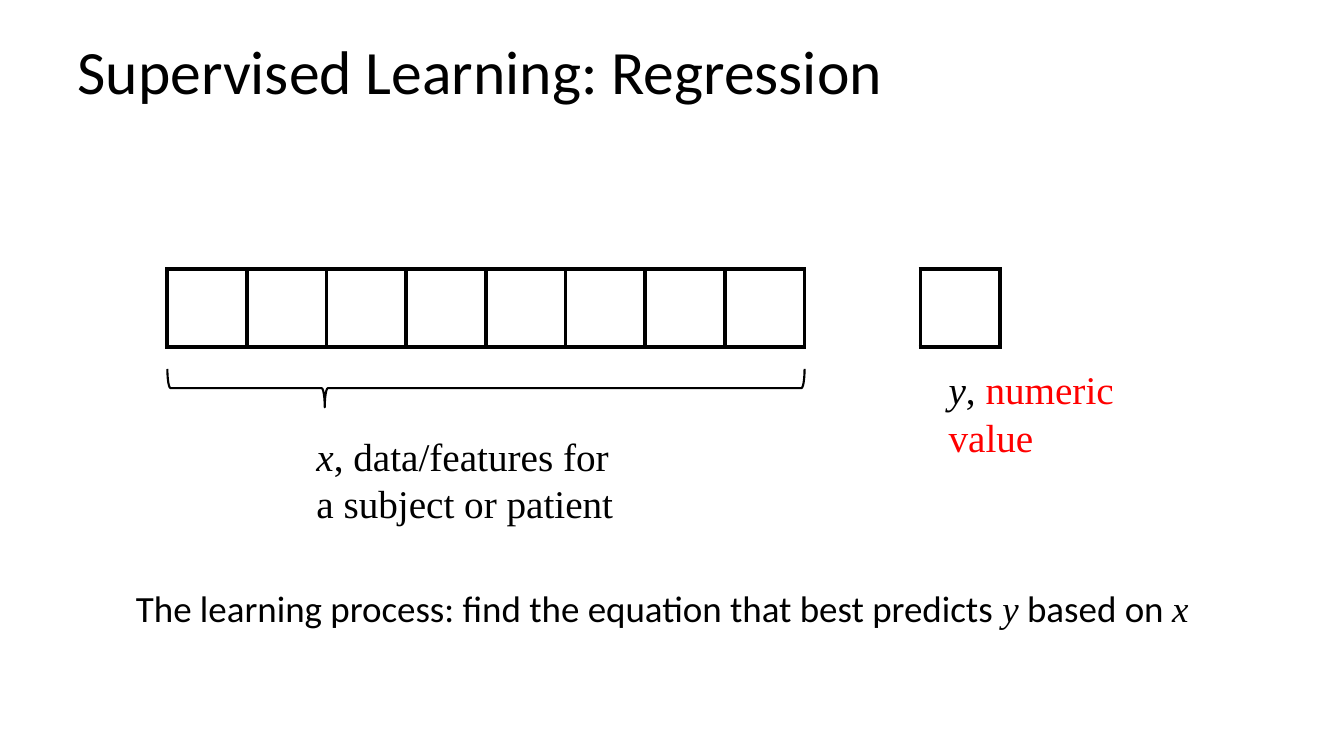
from dataclasses import dataclass

from lxml.etree import SubElement
from pptx import Presentation
from pptx.dml.color import RGBColor
from pptx.enum.shapes import MSO_SHAPE
from pptx.oxml.ns import qn
from pptx.util import Inches, Pt


@dataclass(frozen=True)
class Theme:
    ink: str = "000000"
    accent: str = "FF0000"
    sans: str = "Calibri"
    serif: str = "Times New Roman"
    title_size: float = 44
    label_size: float = 28
    summary_size: float = 26.4
    brace_width: float = 1.5
    border_width: float = 3


class SlideBuilder:
    def __init__(self, slide, theme):
        self.slide = slide
        self.theme = theme

    def text(self, box, paragraphs, size, font, wrap=True, line_spacing=None):
        """Each paragraph is a list of (text, overrides) pairs; overrides may set font, color, italic."""
        frame = self.slide.shapes.add_textbox(*map(Inches, box)).text_frame
        frame.word_wrap = wrap
        for index, pieces in enumerate(paragraphs):
            paragraph = frame.add_paragraph() if index else frame.paragraphs[0]
            paragraph.line_spacing = line_spacing
            for words, style in pieces:
                run = paragraph.add_run()
                run.text = words
                run.font.size = Pt(size)
                run.font.name = style.get("font", font)
                run.font.italic = style.get("italic", False)
                run.font.color.rgb = RGBColor.from_string(style.get("color", self.theme.ink))

    def cells(self, left, top, count, width, height):
        """Draw a one-row table of empty bordered cells."""
        table = self.slide.shapes.add_table(
            1, count, Inches(left), Inches(top), Inches(width * count), Inches(height)).table
        table.first_row = table.horz_banding = False
        for column in table.columns:
            column.width = Inches(width)
        for cell in table.iter_cells():
            self.border(cell)
            cell.fill.background()

    def border(self, cell):
        properties = cell._tc.get_or_add_tcPr()
        for side in ("a:lnL", "a:lnR", "a:lnT", "a:lnB"):
            line = SubElement(properties, qn(side), w=str(Pt(self.theme.border_width)))
            fill = SubElement(line, qn("a:solidFill"))
            SubElement(fill, qn("a:srgbClr"), val=self.theme.ink)

    def brace_below(self, left, top, width, depth):
        """Turn a left brace so that it spans the given width with its point downwards."""
        brace = self.slide.shapes.add_shape(
            MSO_SHAPE.LEFT_BRACE,
            Inches(left + (width - depth) / 2), Inches(top + (depth - width) / 2),
            Inches(depth), Inches(width))
        brace.rotation = 270
        brace.adjustments[0] = 0.083
        brace.adjustments[1] = 0.247
        brace.shadow.inherit = False
        brace.fill.background()
        brace.line.color.rgb = RGBColor.from_string(self.theme.ink)
        brace.line.width = Pt(self.theme.brace_width)


def main():
    presentation = Presentation()
    presentation.slide_width = Inches(13.33)
    presentation.slide_height = Inches(7.5)
    theme = Theme()
    builder = SlideBuilder(presentation.slides.add_slide(presentation.slide_layouts[6]), theme)

    variable = {"font": theme.serif, "italic": True}
    red = {"color": theme.accent}
    features_left, row_top, feature_count = 1.66, 2.67, 8
    cell_width, cell_height = 0.79, 0.77

    builder.brace_below(features_left, 3.66, cell_width * feature_count, 0.38)
    builder.text((3.04, 4.24, 3.27, 1.04),
                 [[("x", variable), (", data/features for a subject or patient", {})]],
                 theme.label_size, theme.serif)
    builder.text((9.31, 3.58, 2.92, 1.04),
                 [[("y", variable), (", ", {}), ("numeric", red)], [("value", red)]],
                 theme.label_size, theme.serif)
    builder.text((0.67, 0.36, 12, 1.25), [[("Supervised Learning: Regression", {})]],
                 theme.title_size, theme.sans, line_spacing=0.9)
    builder.text((1.25, 5.76, 10.83, 0.54),
                 [[("The learning process: find the equation that best predicts ", {}),
                   ("y", variable), (" based on ", {}), ("x", variable)]],
                 theme.summary_size, theme.sans, wrap=False)
    builder.cells(features_left, row_top, feature_count, cell_width, cell_height)
    builder.cells(9.13, row_top, 1, cell_width, cell_height)

    presentation.save("out.pptx")


if __name__ == "__main__":
    main()
